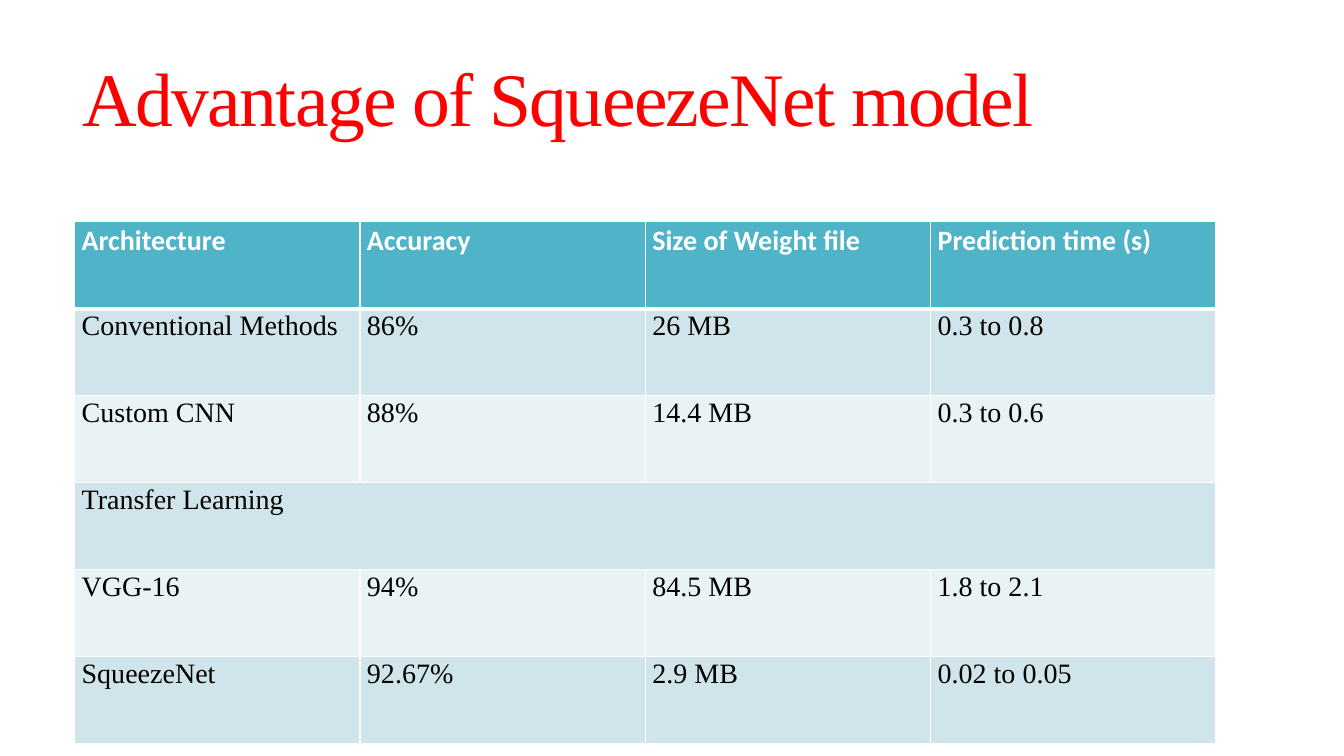
from lxml.etree import fromstring
from pptx import Presentation
from pptx.dml.color import RGBColor
from pptx.enum.text import MSO_ANCHOR, PP_ALIGN
from pptx.oxml.ns import nsdecls
from pptx.util import Inches, Pt


def color(value):
    return RGBColor.from_string(value)


def set_border(cell, sides):
    """Add white cell borders; sides maps each side to a width in points."""
    properties = cell._tc.get_or_add_tcPr()
    for position, (side, width) in enumerate(sides.items()):
        properties.insert(position, fromstring(
            f'<a:ln{side} {nsdecls("a")} w="{Pt(width)}"><a:solidFill>'
            f'<a:srgbClr val="FFFFFF"/></a:solidFill></a:ln{side}>'))


presentation = Presentation()
presentation.slide_width = Inches(13.33)
presentation.slide_height = Inches(7.5)
slide = presentation.slides.add_slide(presentation.slide_layouts[5])

# Title
title = slide.shapes.title
title.left, title.top = Inches(0.72), Inches(0.55)
title.width, title.height = Inches(11.78), Inches(0.96)
title.text_frame.vertical_anchor = MSO_ANCHOR.MIDDLE
paragraph = title.text_frame.paragraphs[0]
paragraph.alignment = PP_ALIGN.LEFT
paragraph.line_spacing = 0.85
run = paragraph.add_run()
run.text = "Advantage of SqueezeNet model"
for name, value in {"name": "Times New Roman", "size": Pt(54)}.items():
    setattr(run.font, name, value)
run.font.color.rgb = color("FF0000")
run._r.get_or_add_rPr().set("spc", "-120")

# Comparison table
rows = [
    ["Architecture", "Accuracy", "Size of Weight file", "Prediction time (s)"],
    ["Conventional Methods", "86%", "26 MB", "0.3 to 0.8"],
    ["Custom CNN", "88%", "14.4 MB", "0.3 to 0.6"],
    ["Transfer Learning", "", "", ""],
    ["VGG-16", "94%", "84.5 MB", "1.8 to 2.1"],
    ["SqueezeNet", "92.67%", "2.9 MB", "0.02 to 0.05"],
]
table = slide.shapes.add_table(
    len(rows), len(rows[0]), Inches(0.74), Inches(2.2), Inches(11.32), Inches(5.18)).table

header_format = {"name": "Calibri", "size": Pt(20), "bold": True}
body_format = {"name": "Times New Roman", "size": Pt(20), "bold": False}
cell_format = {"margin_left": Inches(0.07), "margin_right": Inches(0.07),
               "margin_top": 0, "margin_bottom": 0}

for row_index, row in enumerate(rows):
    is_header = row_index == 0
    band = "D0E5EB" if row_index % 2 else "E9F2F5"
    for column_index, text in enumerate(row):
        cell = table.cell(row_index, column_index)
        for name, value in cell_format.items():
            setattr(cell, name, value)
        cell.fill.solid()
        cell.fill.fore_color.rgb = color("50B4C8" if is_header else band)
        set_border(cell, {"L": 1, "R": 1, "T": 3 if row_index == 1 else 1,
                          "B": 3 if is_header else 1})
        paragraph = cell.text_frame.paragraphs[0]
        paragraph.text = text
        paragraph.line_spacing = 1.07
        for name, value in (header_format if is_header else body_format).items():
            setattr(paragraph.font, name, value)
        paragraph.font.color.rgb = color("FFFFFF" if is_header else "000000")

# Transfer Learning spans the full width
table.cell(3, 0).merge(table.cell(3, 3))

presentation.save("out.pptx")
